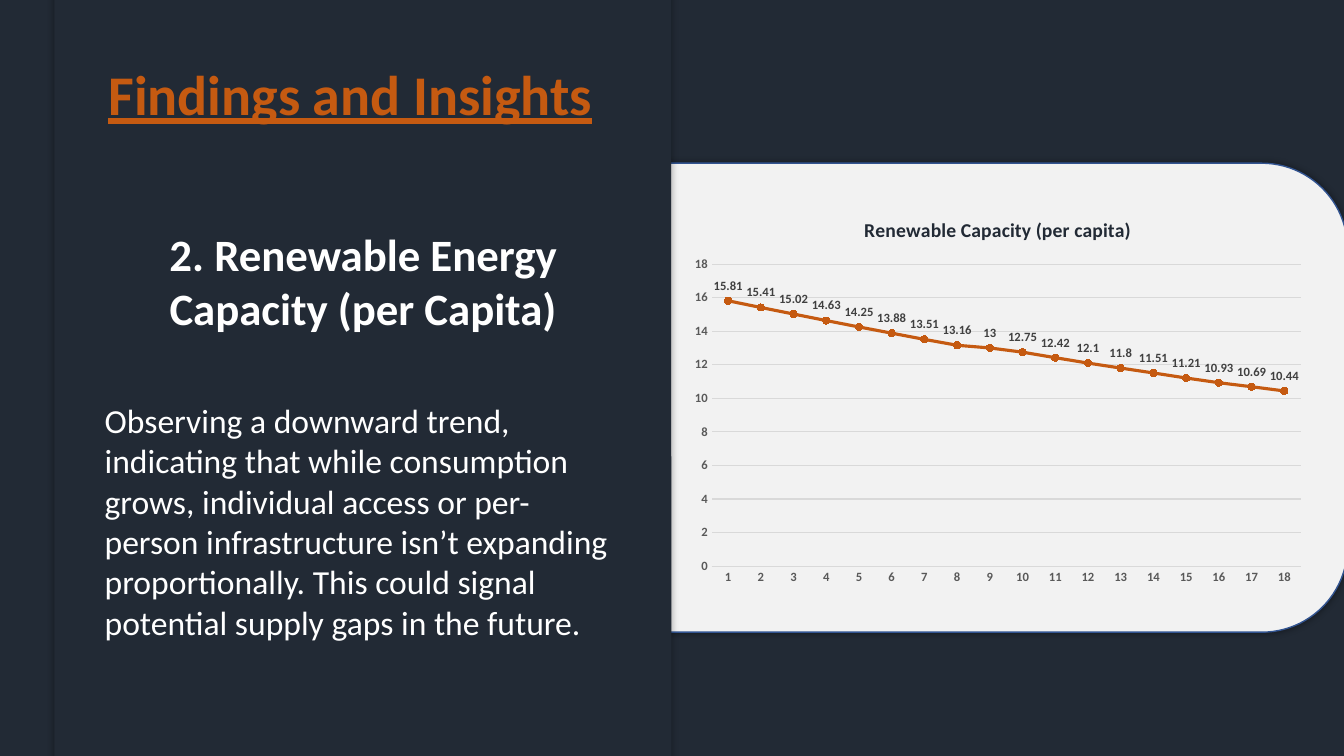
"""Build the slide on renewable energy capacity per capita."""
from lxml import etree
from pptx import Presentation
from pptx.chart.data import CategoryChartData
from pptx.dml.color import RGBColor
from pptx.enum import chart as charts, shapes, text
from pptx.oxml import ns
from pptx.util import Pt

FONT = "Calibri"
NAVY, ORANGE, WHITE, PALE = "222A35", "C55A11", "FFFFFF", "F2F2F2"
BLUE, GRID, AXIS_GREY, LABEL_GREY = "325491", "D9D9D9", "595959", "404040"

TITLE = "Findings and Insights"
HEADING = "2. Renewable Energy Capacity (per Capita)"
INSIGHT = (
    "Observing a downward trend, indicating that while consumption grows, "
    "individual access or per-person infrastructure isn’t expanding "
    "proportionally. This could signal potential supply gaps in the future."
)
CHART_TITLE = "Renewable Capacity (per capita)"
CAPACITY = [15.81, 15.41, 15.02, 14.63, 14.25, 13.88, 13.51, 13.16, 13,
            12.75, 12.42, 12.1, 11.8, 11.51, 11.21, 10.93, 10.69, 10.44]

PANELS = [
    ((381.6, 116.6, 581, 335), 0.183, PALE, BLUE),
    ((38.9, -80.6, 440.6, 690.5), 0.135, NAVY, None),
]
TITLE_BOX = (67.7, 38.9, 365, 55.4)
HEADING_BOX = (67.7, 158.4, 383.8, 85)
INSIGHT_BOX = (67.7, 282.2, 383.8, 181.4)
CHART_BOX = (487.4, 142.6, 450.7, 280.8)


def color(value):
    return RGBColor.from_string(value)


def points(box):
    return [Pt(length) for length in box]


def style(font, size, value, bold=True):
    font.name, font.size, font.bold = FONT, Pt(size), bold
    font.color.rgb = color(value)


def draw_line(line, value, width):
    line.color.rgb = color(value)
    line.width = Pt(width)


def add_shadow(shape):
    shape.shadow.inherit = False
    effects = shape.element.spPr.find(ns.qn("a:effectLst"))
    shadow = etree.SubElement(effects, ns.qn("a:outerShdw"),
                              blurRad=str(Pt(5)), dist="0", dir="0")
    tint = etree.SubElement(shadow, ns.qn("a:srgbClr"), val="000000")
    etree.SubElement(tint, ns.qn("a:alpha"), val="40000")


def add_panel(page, box, radius, fill, outline):
    panel = page.shapes.add_shape(shapes.MSO_SHAPE.ROUNDED_RECTANGLE, *points(box))
    panel.adjustments[0] = radius
    panel.fill.solid()
    panel.fill.fore_color.rgb = color(fill)
    if outline:
        draw_line(panel.line, outline, 1)
    else:
        panel.line.fill.background()
    add_shadow(panel)
    return panel


def write(box, words, size, value, bold, align):
    frame = box.text_frame
    frame.text = words
    frame.word_wrap = True
    frame.auto_size = text.MSO_AUTO_SIZE.SHAPE_TO_FIT_TEXT
    frame.vertical_anchor = text.MSO_ANCHOR.TOP
    para = frame.paragraphs[0]
    para.alignment = align
    style(para.font, size, value, bold)
    return para


def add_capacity_chart(page):
    data = CategoryChartData()
    data.categories = [str(number) for number in range(1, len(CAPACITY) + 1)]
    data.add_series(CHART_TITLE, CAPACITY)
    chart = page.shapes.add_chart(
        charts.XL_CHART_TYPE.LINE_MARKERS, *points(CHART_BOX), data).chart
    style(chart.font, 10, "000000", False)
    chart.has_legend = False
    chart.has_title = True
    chart.chart_title.include_in_layout = False
    chart.chart_title.text_frame.text = CHART_TITLE
    style(chart.chart_title.text_frame.paragraphs[0].font, 14, NAVY)

    for axis in (chart.category_axis, chart.value_axis):
        axis.major_tick_mark = axis.minor_tick_mark = charts.XL_TICK_MARK.NONE
        style(axis.tick_labels.font, 9, AXIS_GREY)
    draw_line(chart.category_axis.format.line, GRID, 0.75)
    values = chart.value_axis
    values.minimum_scale, values.maximum_scale, values.major_unit = 0, 18, 2
    values.format.line.fill.background()
    draw_line(values.major_gridlines.format.line, GRID, 0.75)

    plot = chart.plots[0]
    plot.vary_by_categories = False
    series = plot.series[0]
    series.smooth = False
    draw_line(series.format.line, ORANGE, 2.25)
    marker = series.marker
    marker.style, marker.size = charts.XL_MARKER_STYLE.CIRCLE, 5
    marker.format.fill.solid()
    marker.format.fill.fore_color.rgb = color(ORANGE)
    draw_line(marker.format.line, ORANGE, 0.75)
    labels = series.data_labels
    labels.show_value = True
    labels.position = charts.XL_LABEL_POSITION.ABOVE
    style(labels.font, 9, LABEL_GREY)


def main():
    deck = Presentation()
    deck.slide_width, deck.slide_height = Pt(960), Pt(540)
    page = deck.slides.add_slide(deck.slide_layouts[5])
    page.background.fill.solid()
    page.background.fill.fore_color.rgb = color(NAVY)
    for panel_facts in PANELS:
        panel = add_panel(page, *panel_facts)

    title = page.shapes.title
    panel.element.addnext(title.element)
    title.left, title.top, title.width, title.height = points(TITLE_BOX)
    para = write(title, TITLE, 40, ORANGE, True, text.PP_ALIGN.CENTER)
    para.font.underline = True
    para.line_spacing = 1.0

    heading = page.shapes.add_textbox(*points(HEADING_BOX))
    write(heading, HEADING, 32, WHITE, True, text.PP_ALIGN.CENTER)
    insight = page.shapes.add_textbox(*points(INSIGHT_BOX))
    write(insight, INSIGHT, 24, WHITE, False, text.PP_ALIGN.LEFT)
    add_capacity_chart(page)
    deck.save("out.pptx")


if __name__ == "__main__":
    main()
